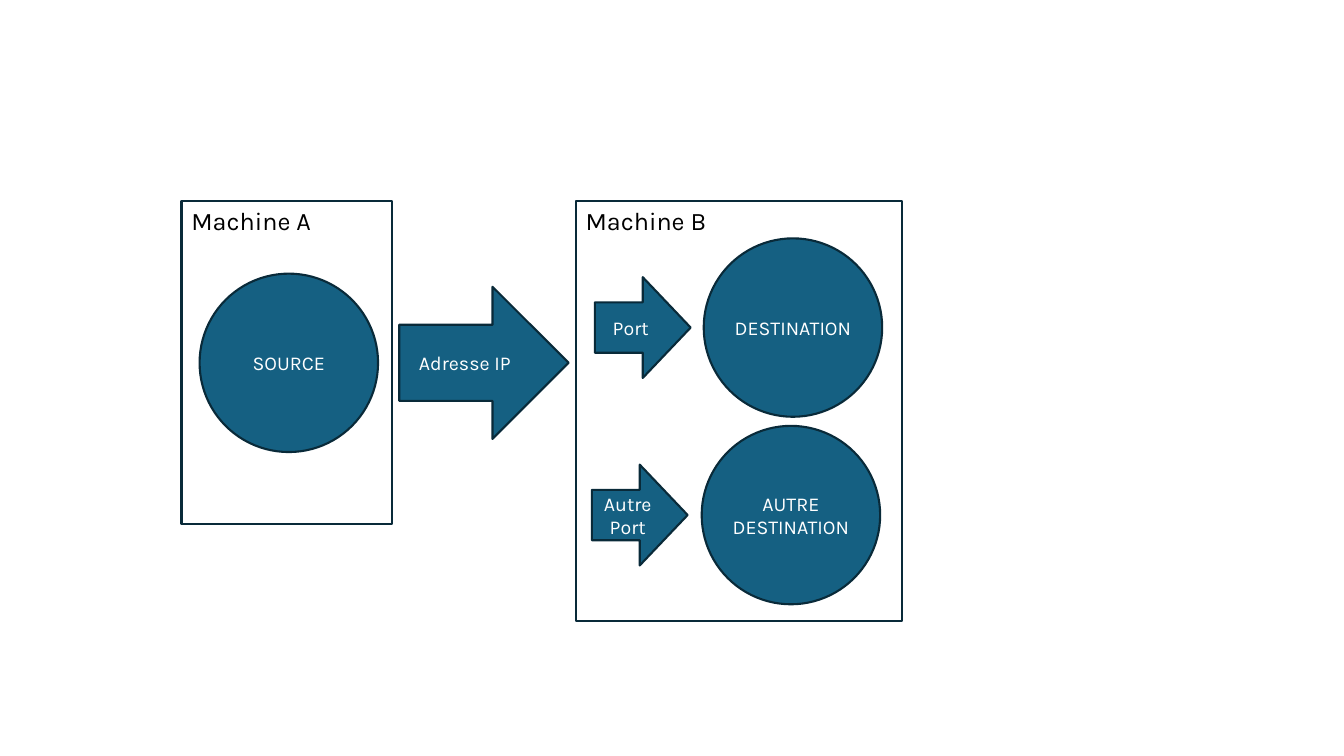
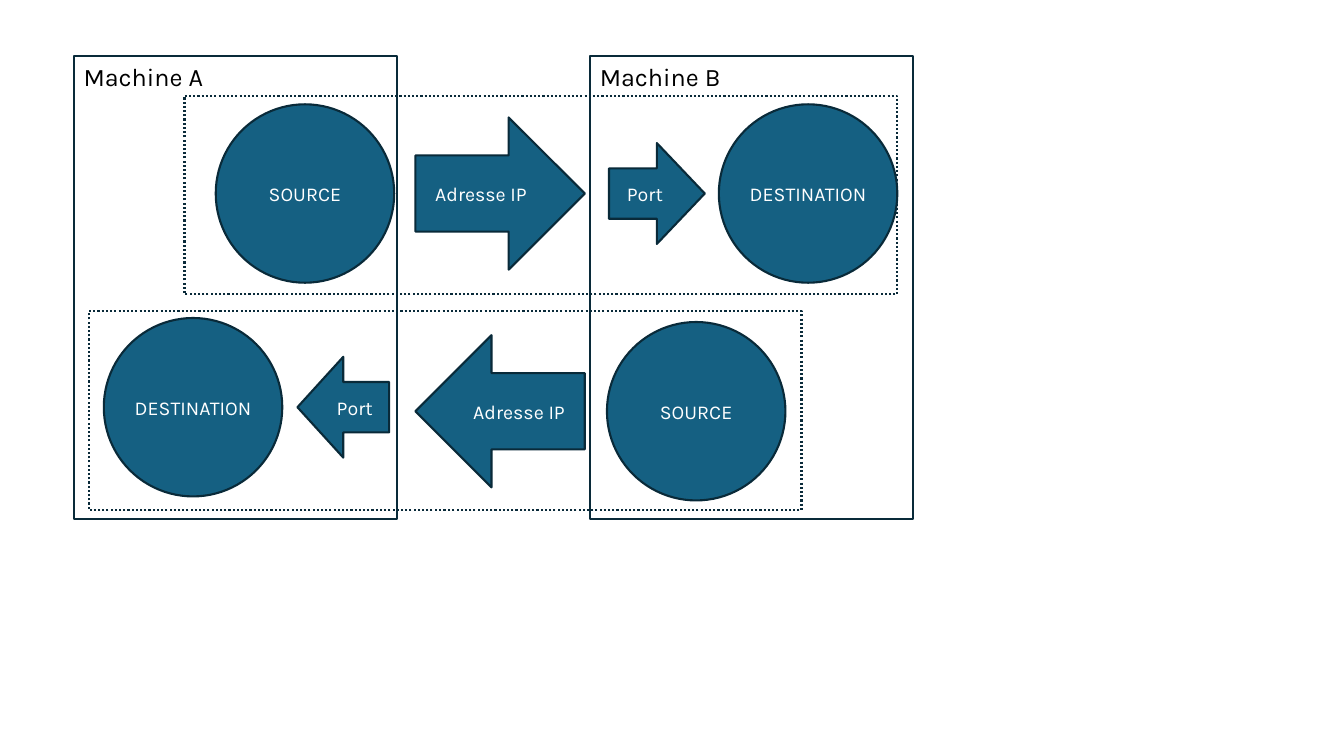
from pptx import Presentation
from pptx.dml.color import RGBColor
from pptx.enum.dml import MSO_LINE
from pptx.enum.shapes import MSO_SHAPE as SHAPE
from pptx.enum.text import MSO_ANCHOR, PP_ALIGN
from pptx.util import Inches, Pt

BLUE = RGBColor(0x15, 0x60, 0x82)
NAVY = RGBColor(0x09, 0x2A, 0x39)
WHITE = RGBColor(0xFF, 0xFF, 0xFF)
BLACK = RGBColor(0x00, 0x00, 0x00)
FONT = "Karla"

CIRCLE_SIZE = 1.77
ADDRESS_WIDTH, ADDRESS_HEIGHT = 1.68, 1.51
PORT_HEIGHT = 1
LABEL_WIDTH, LABEL_HEIGHT = 2.09, 0.4
FLOW_WIDTH, FLOW_HEIGHT = 7.07, 1.97


def write_text(shape, text, size=14, color=WHITE, align=PP_ALIGN.CENTER,
               anchor=MSO_ANCHOR.MIDDLE, inset=None):
    frame = shape.text_frame
    frame.word_wrap = True
    frame.vertical_anchor = anchor
    if inset is not None:
        frame.margin_left = frame.margin_right = Inches(inset)
        frame.margin_top = frame.margin_bottom = Inches(inset)
    paragraph = frame.paragraphs[0]
    paragraph.text = text
    paragraph.alignment = align
    for run in paragraph.runs:
        run.font.name = FONT
        run.font.size = Pt(size)
        run.font.color.rgb = color


def add_outlined(slide, kind, left, top, width, height, fill=None, dash=None):
    shape = slide.shapes.add_shape(
        kind, Inches(left), Inches(top), Inches(width), Inches(height))
    shape.shadow.inherit = False
    if fill is None:
        shape.fill.background()
    else:
        shape.fill.solid()
        shape.fill.fore_color.rgb = fill
    shape.line.color.rgb = NAVY
    shape.line.width = Pt(1.5)
    if dash is not None:
        shape.line.dash_style = dash
    return shape


# machines: name, left, top, width, height
# circles: text, left, middle
# arrows: text, kind, left, middle, width, height
# flows: left, top of a dotted frame
one_way = {
    "machines": [("Machine A", 1.8, 1.99, 2.09, 3.21),
                 ("Machine B", 5.71, 1.99, 3.24, 4.17)],
    "circles": [("SOURCE", 1.98, 3.6),
                ("DESTINATION", 6.98, 3.25),
                ("AUTRE\nDESTINATION", 6.96, 5.11)],
    "arrows": [("Adresse IP", SHAPE.RIGHT_ARROW, 3.96, 3.6, ADDRESS_WIDTH, ADDRESS_HEIGHT),
               ("Port", SHAPE.RIGHT_ARROW, 5.9, 3.25, 0.95, PORT_HEIGHT),
               ("Autre Port", SHAPE.RIGHT_ARROW, 5.87, 5.11, 0.95, PORT_HEIGHT)],
    "flows": [],
}
both_ways = {
    "machines": [("Machine A", 0.73, 0.56, 3.21, 4.59),
                 ("Machine B", 5.85, 0.56, 3.21, 4.59)],
    "circles": [("SOURCE", 2.14, 1.92),
                ("DESTINATION", 7.13, 1.92),
                ("SOURCE", 6.02, 4.08),
                ("DESTINATION", 1.03, 4.04)],
    "arrows": [("Adresse IP", SHAPE.RIGHT_ARROW, 4.12, 1.92, ADDRESS_WIDTH, ADDRESS_HEIGHT),
               ("Port", SHAPE.RIGHT_ARROW, 6.04, 1.92, 0.95, PORT_HEIGHT),
               ("Adresse IP", SHAPE.LEFT_ARROW, 4.12, 4.08, ADDRESS_WIDTH, ADDRESS_HEIGHT),
               ("Port", SHAPE.LEFT_ARROW, 2.95, 4.04, 0.91, PORT_HEIGHT)],
    "flows": [(0.88, 3.09), (1.83, 0.95)],
}

presentation = Presentation()
presentation.slide_width = Inches(13.33)
presentation.slide_height = Inches(7.5)
blank_layout = presentation.slide_layouts[6]

for diagram in (one_way, both_ways):
    slide = presentation.slides.add_slide(blank_layout)

    for text, left, middle in diagram["circles"]:
        circle = add_outlined(slide, SHAPE.OVAL, left, middle - CIRCLE_SIZE / 2,
                              CIRCLE_SIZE, CIRCLE_SIZE, fill=BLUE)
        write_text(circle, text, inset=0)

    for text, kind, left, middle, width, height in diagram["arrows"]:
        arrow = add_outlined(slide, kind, left, middle - height / 2,
                             width, height, fill=BLUE)
        write_text(arrow, text)

    for name, left, top, width, height in diagram["machines"]:
        add_outlined(slide, SHAPE.RECTANGLE, left, top, width, height)
        label = slide.shapes.add_textbox(Inches(left), Inches(top),
                                         Inches(LABEL_WIDTH), Inches(LABEL_HEIGHT))
        write_text(label, name, size=18, color=BLACK,
                   align=PP_ALIGN.LEFT, anchor=MSO_ANCHOR.TOP)

    for left, top in diagram["flows"]:
        add_outlined(slide, SHAPE.RECTANGLE, left, top, FLOW_WIDTH, FLOW_HEIGHT,
                     dash=MSO_LINE.ROUND_DOT)

presentation.save("out.pptx")
